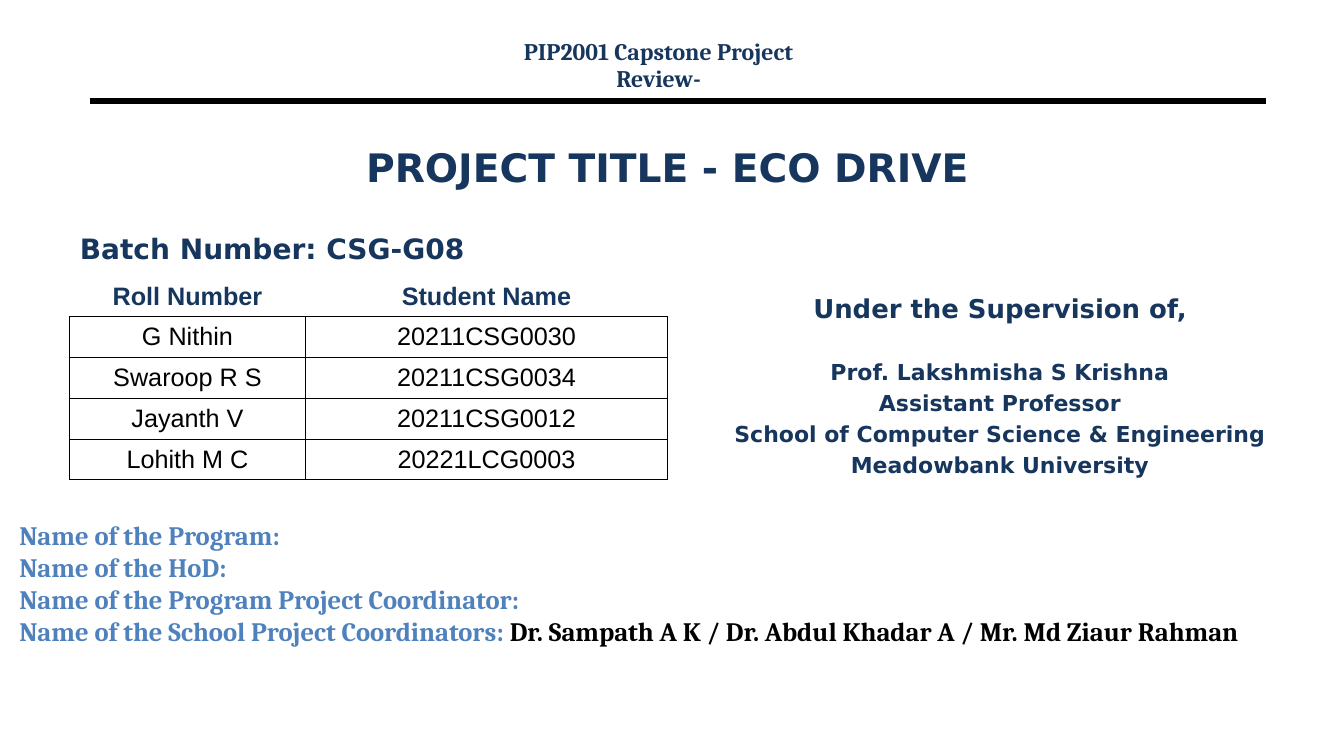
"""Build the cover slide of a capstone project review."""
from lxml import etree
from pptx import Presentation
from pptx.dml.color import RGBColor
from pptx.enum.shapes import MSO_CONNECTOR
from pptx.enum.text import MSO_ANCHOR, MSO_AUTO_SIZE, PP_ALIGN
from pptx.oxml.ns import qn
from pptx.util import Inches, Pt

LEFT, CENTER = PP_ALIGN.LEFT, PP_ALIGN.CENTER
TOP, MIDDLE = MSO_ANCHOR.TOP, MSO_ANCHOR.MIDDLE
NO_FIT, GROW = MSO_AUTO_SIZE.NONE, MSO_AUTO_SIZE.SHAPE_TO_FIT_TEXT
STRAIGHT = MSO_CONNECTOR.STRAIGHT

NAVY, BLUE, BLACK = "17365D", "4F81BD", "000000"
SERIF, SANS, TABLE_FONT = "Cambria", "DejaVu Sans", "Arial"
WIDTH, HEIGHT = Inches(13.33), Inches(7.5)

TITLE = [{"runs": [("PROJECT TITLE - ECO DRIVE", NAVY)], "size": 28}]
BATCH = [{"runs": [("Batch Number: CSG-G08", NAVY)], "size": 20}]
REVIEW = [
    {"runs": [("PIP2001 Capstone Project", NAVY)], "size": 17, "line": 0.8},
    {"runs": [("Review-", NAVY)], "size": 17, "line": 0.8, "before": 3.1},
]
SUPERVISOR = [
    "Prof. Lakshmisha S Krishna",
    "Assistant Professor",
    "School of Computer Science & Engineering",
    "Meadowbank University",
]
SUPERVISION = [{"runs": [("Under the Supervision of,", NAVY)], "size": 18.5, "after": 21.5}] + [
    {"runs": [(text, NAVY)], "size": 15.7, "before": 3.4} for text in SUPERVISOR
]
COORDINATION = [
    {"runs": runs, "size": 19}
    for runs in (
        [("Name of the Program:", BLUE)],
        [("Name of the HoD:", BLUE)],
        [("Name of the Program Project Coordinator:", BLUE)],
        [("Name of the School Project Coordinators: ", BLUE),
         ("Dr. Sampath A K / Dr. Abdul Khadar A / Mr. Md Ziaur Rahman", BLACK)],
    )
]
STUDENTS = [
    ("Roll Number", "Student Name"),
    ("G Nithin", "20211CSG0030"),
    ("Swaroop R S", "20211CSG0034"),
    ("Jayanth V", "20211CSG0012"),
    ("Lohith M C", "20221LCG0003"),
    ("", ""),
]

TITLE_AREA = (19.6, 15.9, 60.1, 12.4)
TEXT_BOXES = [
    ((5.2, 30, 32.6, 8), BATCH, SANS, LEFT, NO_FIT),
    ((53.3, 38, 42.2, 27.6), SUPERVISION, SANS, CENTER, NO_FIT),
    ((32.7, 4.9, 32.6, 8), REVIEW, SERIF, CENTER, NO_FIT),
    ((0.7, 68, 102.5, 18.4), COORDINATION, SERIF, LEFT, GROW),
]
RULE = (6.7, 13.4, 94.2)
TABLE_CORNER, TABLE_COLUMNS, TABLE_ROW = (5.15, 36.5), (17.6, 26.9), 5.4


def color(value):
    return RGBColor.from_string(value)


def across(percent):
    return round(WIDTH * percent / 100)


def down(percent):
    return round(HEIGHT * percent / 100)


def area(left, top, width, height):
    return across(left), down(top), across(width), down(height)


def add_run(para, text, font, size, tint, bold=True):
    span = para.add_run()
    span.text = text
    span.font.name, span.font.size, span.font.bold = font, Pt(size), bold
    span.font.color.rgb = color(tint)


def write(frame, lines, font, align, anchor=TOP, fit=NO_FIT):
    frame.word_wrap, frame.auto_size, frame.vertical_anchor = True, fit, anchor
    for index, line in enumerate(lines):
        para = frame.add_paragraph() if index else frame.paragraphs[0]
        para.alignment = align
        para.line_spacing = line.get("line", 1.0)
        para.space_before = Pt(line.get("before", 0))
        para.space_after = Pt(line.get("after", 0))
        for text, tint in line["runs"]:
            add_run(para, text, font, line["size"], tint)


def set_borders(cell, visible):
    properties = cell._tc.get_or_add_tcPr()
    for side in "LRTB":
        border = etree.SubElement(properties, qn(f"a:ln{side}"), w=str(Pt(0.75)))
        if side in visible:
            fill = etree.SubElement(border, qn("a:solidFill"))
            etree.SubElement(fill, qn("a:srgbClr"), val=BLACK)
        else:
            etree.SubElement(border, qn("a:noFill"))


def add_students(page):
    rows, columns = len(STUDENTS), len(TABLE_COLUMNS)
    box = area(*TABLE_CORNER, sum(TABLE_COLUMNS), TABLE_ROW * rows)
    table = page.shapes.add_table(rows, columns, *box).table
    table.first_row = table.horz_banding = False
    for column, share in zip(table.columns, TABLE_COLUMNS):
        column.width = across(share)
    for r, student in enumerate(STUDENTS):
        table.rows[r].height = down(TABLE_ROW)
        header = r == 0
        visible = "B" if header else "T" if r == rows - 1 else "LRTB"
        for c, text in enumerate(student):
            cell = table.cell(r, c)
            set_borders(cell, visible)
            cell.fill.background()
            cell.vertical_anchor = MIDDLE
            if text:
                para = cell.text_frame.paragraphs[0]
                para.alignment = CENTER
                add_run(para, text, TABLE_FONT, 18, NAVY if header else BLACK, header)


def add_rule(page):
    start, level, end = RULE
    rule = page.shapes.add_connector(STRAIGHT, across(start), down(level), across(end), down(level))
    rule.line.color.rgb = color(BLACK)
    rule.line.width = Pt(4.5)
    etree.SubElement(rule._element.spPr, qn("a:effectLst"))


def main():
    deck = Presentation()
    deck.slide_width, deck.slide_height = WIDTH, HEIGHT
    page = deck.slides.add_slide(deck.slide_layouts[5])
    add_rule(page)
    title = page.shapes.title
    title.left, title.top, title.width, title.height = area(*TITLE_AREA)
    write(title.text_frame, TITLE, SANS, CENTER, MIDDLE)
    add_students(page)
    for place, lines, font, align, fit in TEXT_BOXES:
        box = page.shapes.add_textbox(*area(*place))
        write(box.text_frame, lines, font, align, fit=fit)
    deck.save("out.pptx")


if __name__ == "__main__":
    main()
